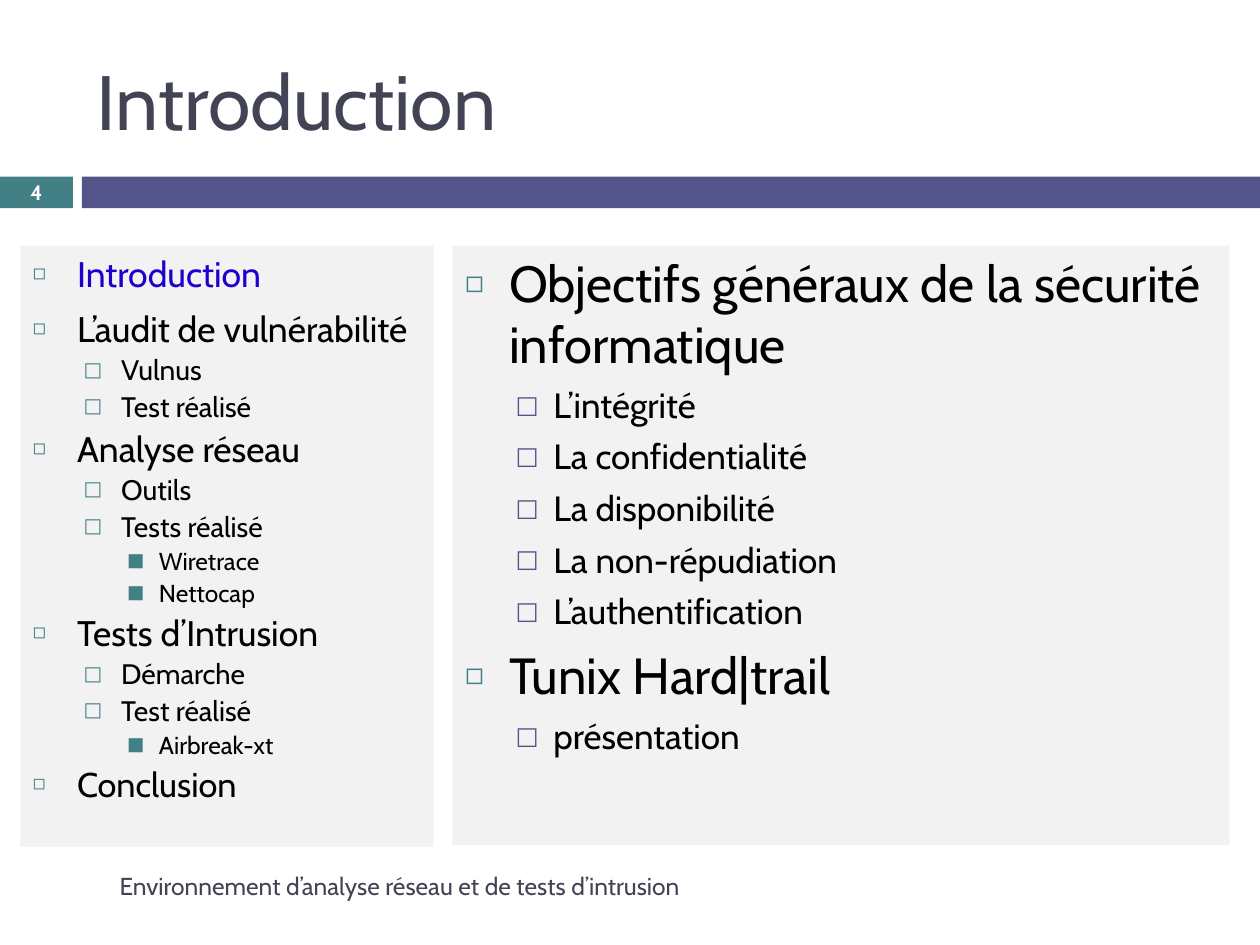
from dataclasses import dataclass

from lxml import etree
from pptx import Presentation
from pptx.dml.color import RGBColor
from pptx.enum.shapes import MSO_SHAPE
from pptx.enum.text import MSO_ANCHOR, MSO_AUTO_SIZE, PP_ALIGN
from pptx.oxml.ns import qn
from pptx.util import Cm, Pt

RECTANGLE = MSO_SHAPE.RECTANGLE
MIDDLE, TOP = MSO_ANCHOR.MIDDLE, MSO_ANCHOR.TOP
LEFT, CENTER = PP_ALIGN.LEFT, PP_ALIGN.CENTER

FONT = "Cabin"
TEAL = RGBColor(0x43, 0x80, 0x86)
PURPLE = RGBColor(0x53, 0x54, 0x8A)
SLATE = RGBColor(0x42, 0x44, 0x56)
PANEL = RGBColor(0xF2, 0xF2, 0xF2)
HIGHLIGHT = RGBColor(0x1D, 0x00, 0xCC)
BLACK = RGBColor(0x00, 0x00, 0x00)
WHITE = RGBColor(0xFF, 0xFF, 0xFF)


@dataclass(frozen=True)
class Frame:
    left: float
    top: float
    width: float
    height: float


@dataclass(frozen=True)
class Level:
    margin: float
    hanging: float
    space_before: float
    bullet: str
    bullet_percent: int


@dataclass(frozen=True)
class Item:
    text: str
    size: float
    level: int = 0
    line_spacing: float = 1.0
    color: RGBColor = BLACK
    bullet_color: RGBColor = TEAL


LEVELS = (
    Level(0.89, 0.89, 7, "◻", 60),
    Level(1.78, 0.76, 5.5, "□", 70),
    Level(2.54, 0.64, 5, "■", 75),
)
OUTLINE_SIZES = (20.3, 16.1, 14)


def outline_item(text: str, level: int = 0) -> Item:
    return Item(text, OUTLINE_SIZES[level], level, line_spacing=0.8)


def goal_item(text: str) -> Item:
    return Item(text, 20, level=1, bullet_color=PURPLE)


OUTLINE = (
    Item("Introduction", 20.3, color=HIGHLIGHT),
    Item("L’audit de vulnérabilité", 20.3),
    outline_item("Vulnus", 1),
    outline_item("Test réalisé", 1),
    outline_item("Analyse réseau"),
    outline_item("Outils", 1),
    outline_item("Tests réalisé", 1),
    outline_item("Wiretrace", 2),
    outline_item("Nettocap", 2),
    outline_item("Tests d’Intrusion"),
    outline_item("Démarche", 1),
    outline_item("Test réalisé", 1),
    outline_item("Airbreak-xt", 2),
    Item("Conclusion", 19.6, line_spacing=0.8),
)
GOALS = (
    Item("Objectifs généraux de la sécurité informatique", 29),
    goal_item("L’intégrité"),
    goal_item("La confidentialité"),
    goal_item("La disponibilité"),
    goal_item("La non-répudiation"),
    goal_item("L’authentification"),
    Item("Tunix Hard|trail", 29),
    goal_item("présentation"),
)


def place(shape, frame: Frame) -> None:
    shape.left, shape.top = Cm(frame.left), Cm(frame.top)
    shape.width, shape.height = Cm(frame.width), Cm(frame.height)


def style_text(paragraph, size: float, color: RGBColor, bold: bool = False) -> None:
    for span in paragraph.runs:
        span.font.name = FONT
        span.font.size = Pt(size)
        span.font.bold = bold
        span.font.color.rgb = color


def write_line(shape, text: str, size: float, color: RGBColor,
               align=LEFT, bold: bool = False) -> None:
    text_frame = shape.text_frame
    text_frame.text = text
    text_frame.word_wrap = True
    text_frame.auto_size = MSO_AUTO_SIZE.NONE
    text_frame.vertical_anchor = MIDDLE
    para = text_frame.paragraphs[0]
    para.alignment = align
    style_text(para, size, color, bold)


def add_bar(slide, frame: Frame, color: RGBColor):
    bar = slide.shapes.add_shape(RECTANGLE, 0, 0, 0, 0)
    place(bar, frame)
    bar.shadow.inherit = False
    bar.fill.solid()
    bar.fill.fore_color.rgb = color
    bar.line.fill.background()
    return bar


def set_bullet(paragraph, level: Level, color: RGBColor) -> None:
    properties = paragraph._p.get_or_add_pPr()
    properties.set("marL", str(Cm(level.margin)))
    properties.set("indent", str(-Cm(level.hanging)))
    bullet_color = etree.SubElement(properties, qn("a:buClr"))
    etree.SubElement(bullet_color, qn("a:srgbClr"), val=str(color))
    etree.SubElement(properties, qn("a:buSzPct"), val=str(level.bullet_percent * 1000))
    etree.SubElement(properties, qn("a:buFont"), typeface=FONT)
    etree.SubElement(properties, qn("a:buChar"), char=level.bullet)


def fill_panel(panel, frame: Frame, items: tuple[Item, ...]) -> None:
    place(panel, frame)
    panel.fill.solid()
    panel.fill.fore_color.rgb = PANEL
    text_frame = panel.text_frame
    text_frame.text = "\n".join(item.text for item in items)
    text_frame.word_wrap = True
    text_frame.auto_size = MSO_AUTO_SIZE.NONE
    text_frame.vertical_anchor = TOP
    for para, item in zip(text_frame.paragraphs, items):
        level = LEVELS[item.level]
        para.level = item.level
        para.alignment = LEFT
        para.line_spacing = item.line_spacing
        para.space_before = Pt(level.space_before)
        para.space_after = Pt(0)
        set_bullet(para, level, item.bullet_color)
        style_text(para, item.size, item.color)


def main() -> None:
    deck = Presentation()
    deck.slide_width, deck.slide_height = Cm(25.4), Cm(19.05)
    slide = deck.slides.add_slide(deck.slide_layouts.get_by_name("Two Content"))
    title, outline_panel, goals_panel = slide.placeholders

    place(title, Frame(1.7, 0.64, 22.66, 2.74))
    write_line(title, "Introduction", 44, SLATE)

    number_bar = add_bar(slide, Frame(0, 3.56, 1.47, 0.64), TEAL)
    write_line(number_bar, "4", 11.9, WHITE, CENTER, bold=True)
    add_bar(slide, Frame(1.65, 3.56, 23.75, 0.64), PURPLE)

    fill_panel(outline_panel, Frame(0.41, 4.95, 8.33, 12.12), OUTLINE)
    fill_panel(goals_panel, Frame(9.12, 4.95, 15.67, 12.09), GOALS)

    footer = slide.shapes.add_textbox(0, 0, 0, 0)
    place(footer, Frame(2.16, 17.35, 12.6, 1.02))
    write_line(footer, "Environnement d’analyse réseau et de tests d’intrusion", 14, SLATE)

    deck.save("out.pptx")


if __name__ == "__main__":
    main()
